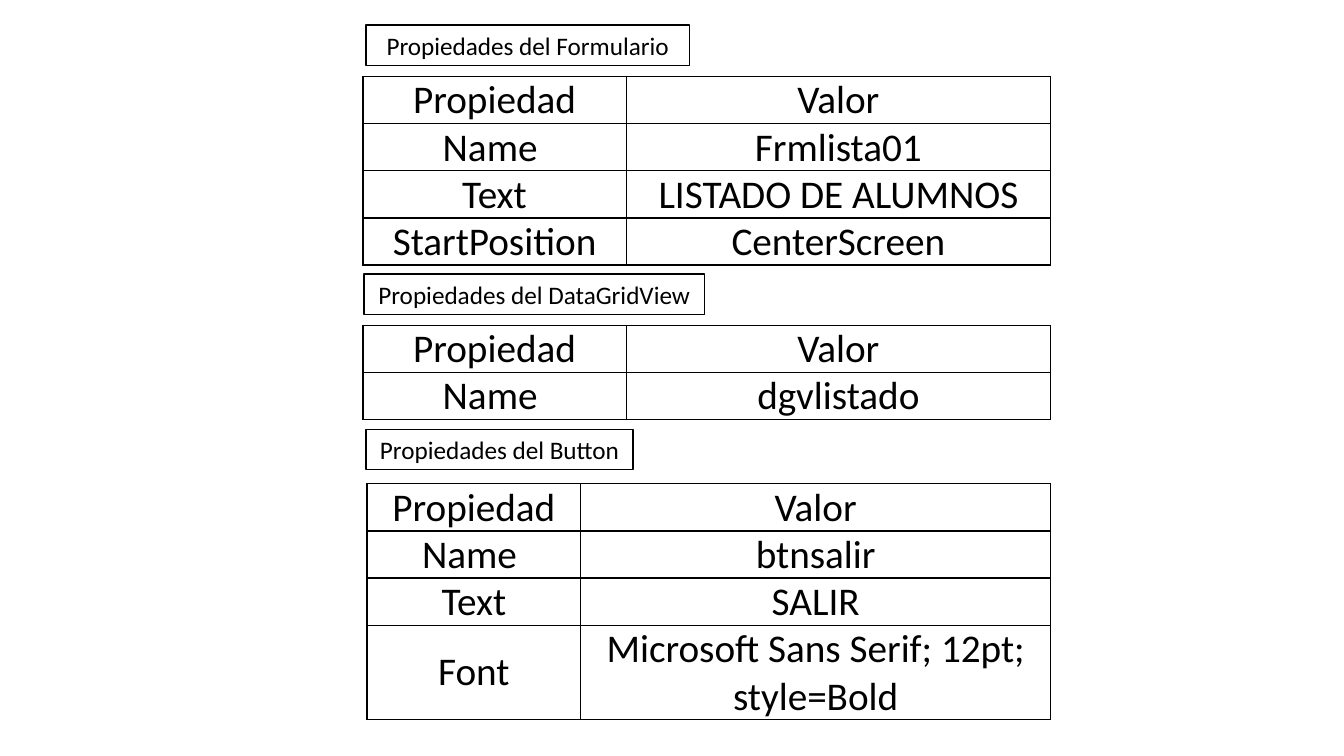
import pptx
import pptx.dml.color
import pptx.enum.shapes
import pptx.enum.text
import pptx.oxml
import pptx.oxml.ns
import pptx.util

Inches = pptx.util.Inches
Pt = pptx.util.Pt

FONT = "Calibri"
COLORS = {"ink": "000000", "paper": "FFFFFF"}
HEADER = ("Propiedad", "Valor")
ROW_HEIGHT = 0.46
LABEL_HEIGHT = 0.4
MIDDLE = pptx.enum.text.MSO_ANCHOR.MIDDLE
TOP = pptx.enum.text.MSO_ANCHOR.TOP

# Content: label box (left, top, width) and table (left, top, columns)
SECTIONS = [
    {
        "label": "Propiedades del Formulario",
        "label_at": (3.63, 0.25, 3.21),
        "table_at": (3.6, 0.76),
        "columns": (2.61, 4.21),
        "anchor": TOP,
        "rows": [
            ("Name ", "Frmlista01"),
            ("Text", "LISTADO DE ALUMNOS"),
            ("StartPosition", "CenterScreen"),
        ],
    },
    {
        "label": "Propiedades del DataGridView",
        "label_at": (3.61, 2.72, 3.38),
        "table_at": (3.6, 3.23),
        "columns": (2.61, 4.21),
        "anchor": TOP,
        "rows": [("Name ", "dgvlistado")],
    },
    {
        "label": "Propiedades del Button",
        "label_at": (3.63, 4.26, 2.65),
        "table_at": (3.64, 4.8),
        "columns": (2.12, 4.66),
        "anchor": MIDDLE,
        "rows": [
            ("Name ", "btnsalir"),
            ("Text", "SALIR"),
            ("Font", "Microsoft Sans Serif; 12pt; style=Bold"),
        ],
    },
]


def rgb(name):
    return pptx.dml.color.RGBColor.from_string(COLORS[name])


def write_text(text_frame, text, size):
    text_frame.text = text
    paragraph = text_frame.paragraphs[0]
    paragraph.alignment = pptx.enum.text.PP_ALIGN.CENTER
    font = paragraph.runs[0].font
    font.name = FONT
    font.size = Pt(size)
    font.color.rgb = rgb("ink")


def add_borders(cell):
    properties = cell._tc.get_or_add_tcPr()
    for side in ("lnL", "lnR", "lnT", "lnB"):
        properties.append(pptx.oxml.parse_xml(
            f'<a:{side} {pptx.oxml.ns.nsdecls("a")} w="{Pt(1)}"><a:solidFill>'
            f'<a:srgbClr val="{COLORS["ink"]}"/></a:solidFill></a:{side}>'))


def add_label(slide, text, left, top, width):
    shape = slide.shapes.add_shape(
        pptx.enum.shapes.MSO_SHAPE.RECTANGLE,
        Inches(left), Inches(top), Inches(width), Inches(LABEL_HEIGHT))
    shape.shadow.inherit = False
    shape.fill.solid()
    shape.fill.fore_color.rgb = rgb("paper")
    shape.line.color.rgb = rgb("ink")
    shape.line.width = Pt(1)
    write_text(shape.text_frame, text, 18)
    shape.text_frame.word_wrap = True
    shape.text_frame.auto_size = pptx.enum.text.MSO_AUTO_SIZE.SHAPE_TO_FIT_TEXT


def add_property_table(slide, rows, left, top, columns, anchor):
    table = slide.shapes.add_table(
        len(rows), len(columns), Inches(left), Inches(top),
        Inches(sum(columns)), Inches(ROW_HEIGHT * len(rows))).table
    table.first_row = False
    table.horz_banding = False
    for column, width in zip(table.columns, columns):
        column.width = Inches(width)
    for row, texts in zip(table.rows, rows):
        row.height = Inches(ROW_HEIGHT)
        for cell, text in zip(row.cells, texts):
            add_borders(cell)
            cell.fill.background()
            cell.margin_left = cell.margin_right = Inches(0.07)
            cell.margin_top = cell.margin_bottom = 0
            cell.vertical_anchor = anchor
            write_text(cell.text_frame, text, 28)


def main():
    presentation = pptx.Presentation()
    presentation.slide_width = Inches(13.33)
    presentation.slide_height = Inches(7.5)
    slide = presentation.slides.add_slide(presentation.slide_layouts[6])

    # Each section is a boxed label above its property table
    for section in SECTIONS:
        add_label(slide, section["label"], *section["label_at"])
        add_property_table(slide, [HEADER] + section["rows"], *section["table_at"],
                           section["columns"], section["anchor"])

    presentation.save("out.pptx")


if __name__ == "__main__":
    main()
